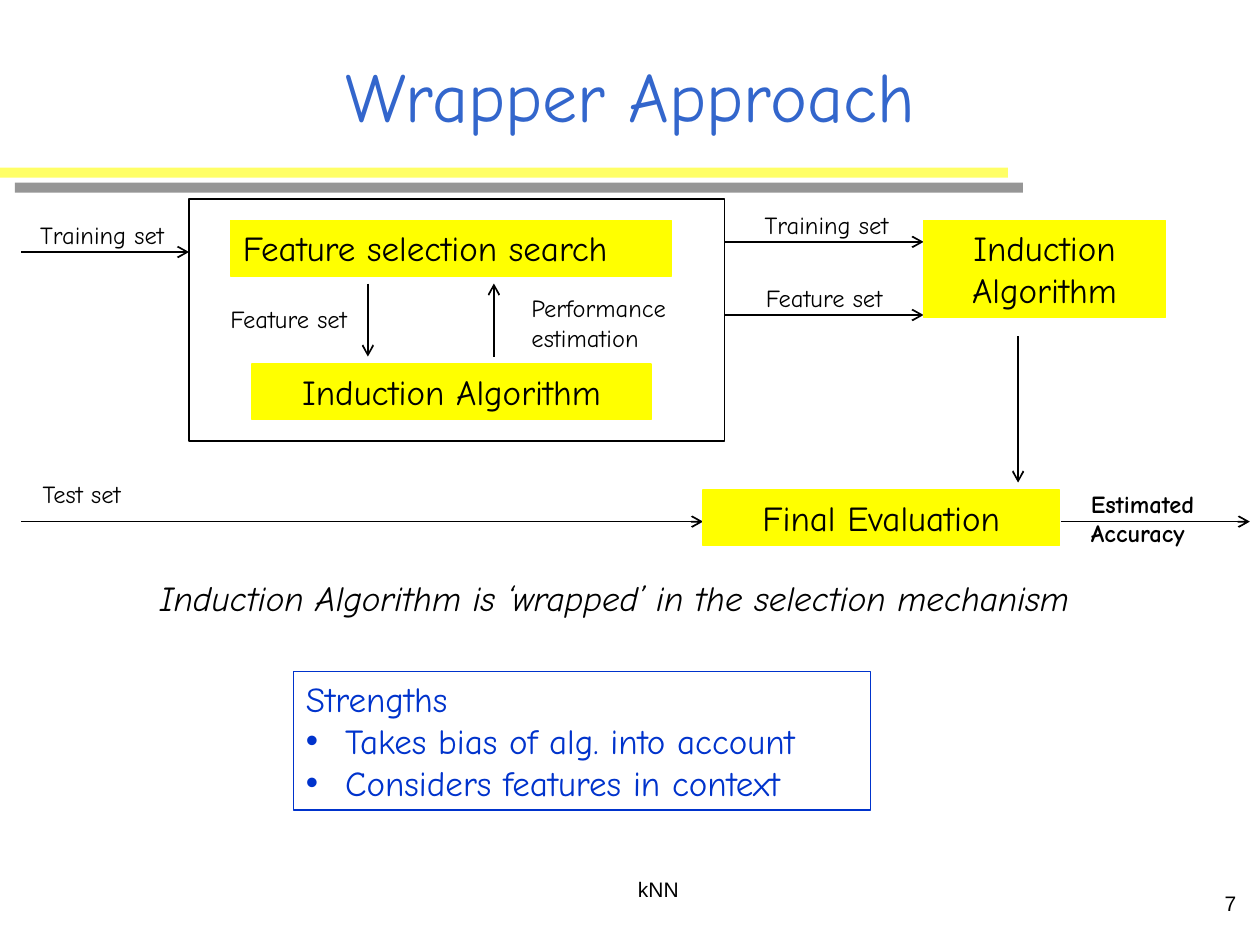
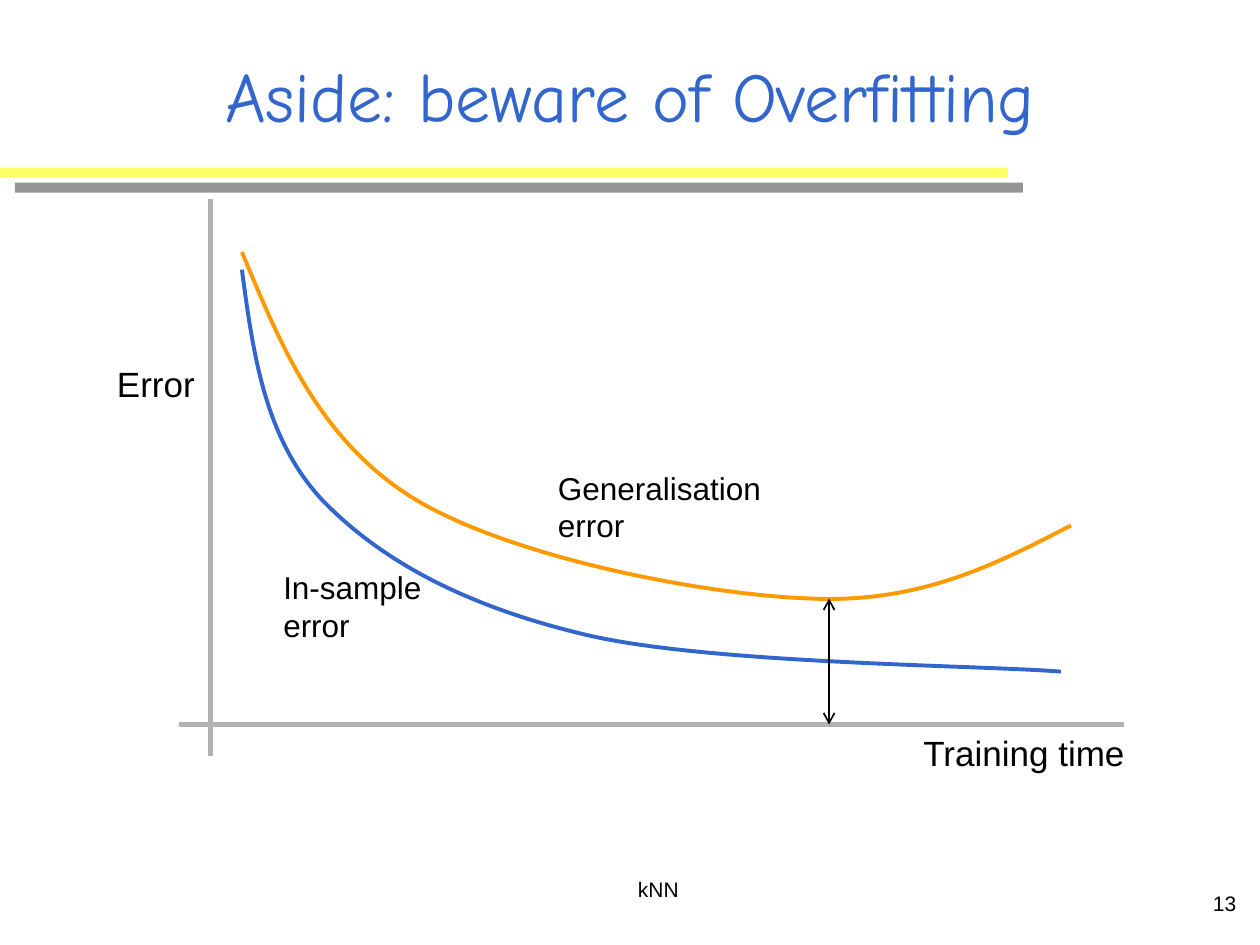
from lxml import etree
from pptx import Presentation
from pptx.dml.color import RGBColor
from pptx.enum.shapes import MSO_CONNECTOR, MSO_SHAPE
from pptx.enum.text import MSO_ANCHOR, MSO_AUTO_SIZE, PP_ALIGN
from pptx.oxml.ns import qn
from pptx.util import Inches, Pt

RECT = MSO_SHAPE.RECTANGLE
LINE = MSO_CONNECTOR.STRAIGHT
LEFT, MID, RIGHT = PP_ALIGN.LEFT, PP_ALIGN.CENTER, PP_ALIGN.RIGHT
TOP, CENTRE = MSO_ANCHOR.TOP, MSO_ANCHOR.MIDDLE
GROW, FIXED = MSO_AUTO_SIZE.SHAPE_TO_FIT_TEXT, MSO_AUTO_SIZE.NONE

COMIC, ARIAL = "Comic Neue", "Arial"
BLACK, BLUE, NAVY, ORANGE = "000000", "3366CC", "0033CC", "FF9900"
YELLOW, PALE, GREY, SILVER = "FFFF00", "FFFF66", "969696", "B2B2B2"
HANG = 0.31


def rgb(code):
    return RGBColor.from_string(code)


def rect(slide, x, y, w, h, fill=None, edge=None):
    shape = slide.shapes.add_shape(RECT, *map(Inches, (x, y, w, h)))
    shape.shadow.inherit = False
    if fill:
        shape.fill.solid()
        shape.fill.fore_color.rgb = rgb(fill)
    else:
        shape.fill.background()
    if edge:
        shape.line.color.rgb = rgb(edge)
        shape.line.width = Pt(1)
    else:
        shape.line.fill.background()
    return shape


def put(shape, text, size=20, font=COMIC, color=BLACK, bold=False, italic=False,
        align=LEFT, anchor=TOP, wrap=True, fit=GROW, before=0):
    """Fill a shape with text, one paragraph a line."""
    frame = shape.text_frame
    frame.text = text
    frame.word_wrap = wrap
    frame.auto_size = fit
    frame.vertical_anchor = anchor
    for para in frame.paragraphs:
        para.alignment = align
        para.space_before = Pt(before)
        style = para.font
        style.size, style.name = Pt(size), font
        style.bold, style.italic = bold, italic
        style.color.rgb = rgb(color)
    return frame


def label(slide, x, y, w, h, text, **form):
    area = slide.shapes.add_textbox(*map(Inches, (x, y, w, h)))
    return put(area, text, **form)


def note(slide, x, y, w, text, size=14, **form):
    """Label that keeps its own line breaks."""
    lines = text.count("\n") + 1
    high = 0.1 + lines * size / 60
    label(slide, x, y, w, high, text, size=size, wrap=False, **form)


def step(slide, x, y, w, text, h=0.44, align=MID):
    put(rect(slide, x, y, w, h, YELLOW, YELLOW), text, align=align, before=12.5)


def link(slide, x1, y1, x2, y2, color=BLACK, width=1, ends=("tailEnd",)):
    line = slide.shapes.add_connector(LINE, *map(Inches, (x1, y1, x2, y2)))
    line.line.color.rgb = rgb(color)
    line.line.width = Pt(width)
    stroke = line.line._get_or_add_ln()
    for end in ends:
        etree.SubElement(stroke, qn("a:" + end), type="arrow")
    etree.SubElement(line._element.spPr, qn("a:effectLst"))


def hang(para, mark=None):
    props = para._p.get_or_add_pPr()
    props.set("marL", str(Inches(HANG)))
    props.set("indent", str(-Inches(HANG)))
    if mark:
        etree.SubElement(props, qn("a:buFont"), typeface=ARIAL)
        etree.SubElement(props, qn("a:buChar"), char=mark)


def curve(slide, x, y, knots, color):
    """Draw joined cubic curves; knots are relative to x, y."""
    points = [(Inches(x + dx), Inches(y + dy)) for dx, dy in knots]
    pen = slide.shapes.build_freeform(*points[0])
    pen.add_line_segments(points[1:], close=False)
    shape = pen.convert_to_shape()
    shape.shadow.inherit = False
    shape.fill.background()
    shape.line.color.rgb = rgb(color)
    shape.line.width = Pt(2.25)
    legs = list(shape._element.iter(qn("a:lnTo")))
    track = legs[0].getparent()
    for i in range(0, len(legs), 3):
        bend = etree.SubElement(track, qn("a:cubicBezTo"))
        for leg in legs[i:i + 3]:
            bend.append(leg[0])
            track.remove(leg)


def band(slide, x, y, w, h):
    """Pale bar with a hard grey shadow."""
    bar = rect(slide, x, y, w, h, PALE)
    effects = bar._element.spPr.find(qn("a:effectLst"))
    cast = etree.SubElement(effects, qn("a:outerShdw"), dist=str(Pt(12.1)),
                            dir=str(45 * 60000), algn="ctr", rotWithShape="0")
    etree.SubElement(cast, qn("a:srgbClr"), val=GREY)


def base(deck, title, number):
    """Add a slide with the shared title, band and footers."""
    slide = deck.slides.add_slide(deck.slide_layouts[6])
    band(slide, 0, 1.33, 8, 0.08)
    label(slide, 0.75, 0.25, 8.5, 1, title, size=40, color=BLUE,
          align=MID, anchor=CENTRE, fit=FIXED)
    for x, y, w, text, align in ((3.64, 6.81, 3.17, "kNN", MID),
                                 (7.83, 6.92, 2.08, str(number), RIGHT)):
        label(slide, x, y, w, 0.5, text, size=12, font=ARIAL,
              align=align, anchor=CENTRE, fit=FIXED)
    return slide


def loop(slide, x, y, w, h):
    """Search and induction, wrapped in one frame."""
    step(slide, x + 0.33, y + 0.17, 3.5, "Feature selection search", align=LEFT)
    step(slide, x + 0.5, y + 1.31, 3.17, "Induction Algorithm")
    rect(slide, x, y, w, h, edge=BLACK)
    high, low = y + 0.67, y + 1.25
    link(slide, x + 1.42, high, x + 1.42, low)
    link(slide, x + 2.42, low, x + 2.42, high)
    note(slide, x + 0.23, y + 0.78, 1.14, "Feature set")
    note(slide, x + 2.62, y + 0.7, 1.34, "Performance\nestimation")


def train(slide, x, y):
    """Sets that enter and leave the loop, and the last induction."""
    note(slide, x + 0.05, y + 0.12, 1.18, "Training set")
    link(slide, x, y + 0.42, x + 1.33, y + 0.42)
    for dx, dy, w, text in ((5.8, 0.34, 1.18, "Training set"),
                            (5.81, 0.92, 1.14, "Feature set")):
        link(slide, x + 5.58, y + dy, x + 7.16, y + dy)
        note(slide, x + dx, y + dy - 0.3, w, text)
    step(slide, x + 7.16, y + 0.17, 1.92, "Induction Algorithm", h=0.77)
    link(slide, x + 7.91, y + 1.09, x + 7.91, y + 2.25)


def test(slide, x, y):
    """Row that leads from the test set to the accuracy."""
    note(slide, x + 0.07, y - 0.39, 0.83, "Test set")
    link(slide, x, y, x + 5.41, y)
    step(slide, x + 5.41, y - 0.25, 2.83, "Final Evaluation")
    link(slide, x + 8.25, y, x + 9.75, y)
    note(slide, x + 8.39, y - 0.31, 1.02, "Estimated\nAccuracy", bold=True)


def gains(slide, x, y, w, h):
    frame = put(rect(slide, x, y, w, h, edge=NAVY),
                "Strengths\nTakes bias of alg. into account\n"
                "Considers features in context", color=NAVY)
    head, *points = frame.paragraphs
    hang(head)
    for para in points:
        hang(para, "•")


def graph(slide, x, y, w, h):
    """Error curves on axes that cross near the lower left."""
    left, floor = x + 0.25, y + h - 0.25
    curve(slide, left, y, [
        (0.25, 0.56), (0.34, 1.23), (0.43, 1.89), (0.88, 2.38),
        (1.34, 2.86), (2.01, 3.23), (2.99, 3.46),
        (3.97, 3.69), (6.13, 3.7), (6.75, 3.75)], BLUE)
    curve(slide, left, y, [
        (0.25, 0.42), (0.56, 1.17), (0.87, 1.92), (1.62, 2.38),
        (2.38, 2.84), (3.9, 3.14), (4.76, 3.17),
        (5.63, 3.21), (6.23, 2.9), (6.83, 2.59)], ORANGE)
    link(slide, left, y, left, y + h, SILVER, 3, ())
    link(slide, x, floor, x + w, floor, SILVER, 3, ())
    for dx, dy, wide, size, text in (
            (5.81, 4.18, 1.81, 20, "Training time"),
            (-0.59, 1.25, 0.82, 20, "Error"),
            (0.73, 2.88, 1.36, 18, "In-sample\nerror"),
            (2.91, 2.09, 1.81, 18, "Generalisation\nerror")):
        note(slide, x + dx, y + dy, wide, text, size=size, font=ARIAL)
    link(slide, left + 4.91, floor - 1, left + 4.91, floor,
         ends=("headEnd", "tailEnd"))


def main():
    deck = Presentation()
    deck.slide_width, deck.slide_height = Inches(10), Inches(7.5)

    wrap = base(deck, "Wrapper Approach", 7)
    loop(wrap, 1.5, 1.58, 4.25, 1.92)
    train(wrap, 0.17, 1.58)
    test(wrap, 0.17, 4.14)
    note(wrap, 1.17, 4.53, 7.43, size=20, italic=True,
         text="Induction Algorithm is ‘wrapped’ in the selection mechanism")
    gains(wrap, 2.33, 5.33, 4.58, 1.1)

    fit = base(deck, "Aside: beware of Overfitting", 13)
    graph(fit, 1.42, 1.58, 7.5, 4.42)

    deck.save("out.pptx")


if __name__ == "__main__":
    main()
